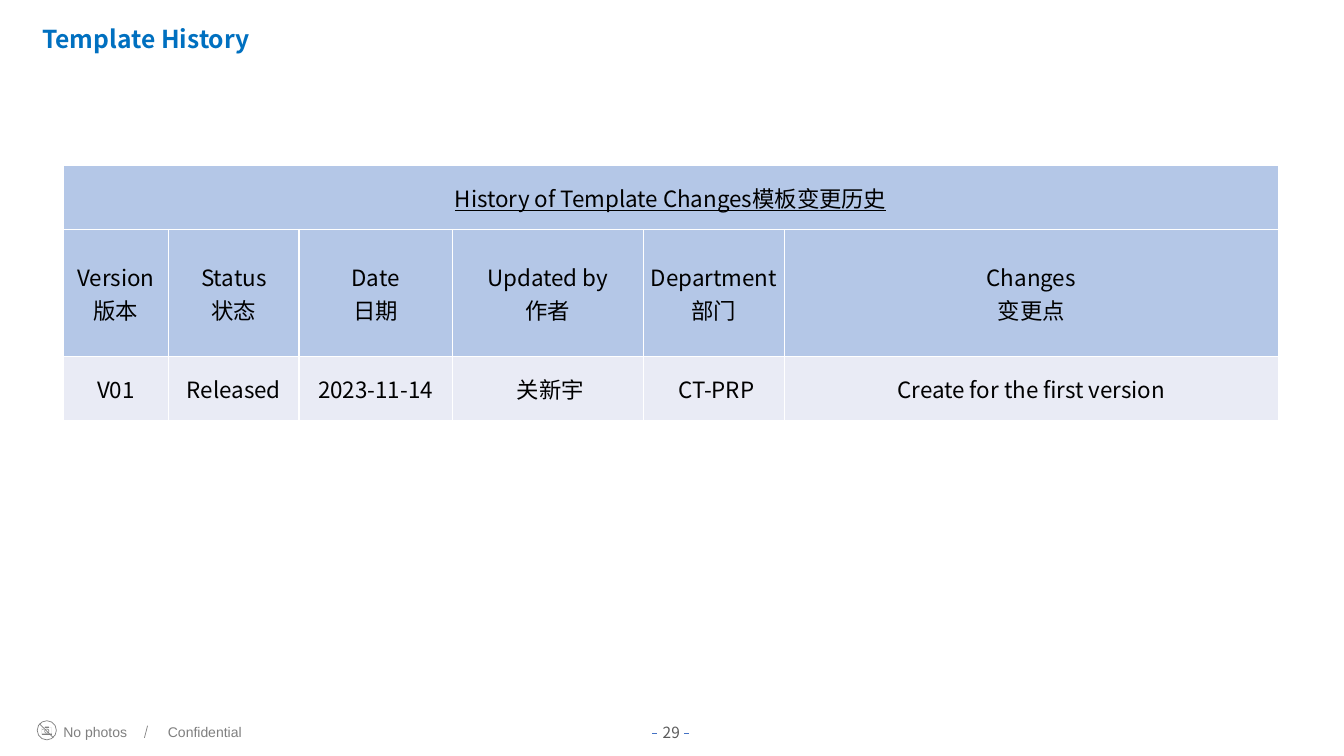
from dataclasses import dataclass

from lxml import etree
from pptx import Presentation
from pptx.dml import color
from pptx.enum import shapes, text
from pptx.oxml import ns
from pptx.util import Pt


@dataclass(frozen=True)
class Theme:
    body_font: str = "Noto Sans CJK SC"
    footer_font: str = "Arial"
    title: str = "0070C0"
    ink: str = "000000"
    header: str = "B4C7E7"
    row: str = "E9EBF5"
    border: str = "FFFFFF"
    footer: str = "7F7F7F"
    icon: str = "808080"
    number: str = "5A5A5A"
    dash: str = "4472C4"
    title_size: float = 17.6
    table_size: float = 16
    number_size: float = 11
    footer_size: float = 10


class SlideBuilder:
    def __init__(self, slide, theme):
        self.slide = slide
        self.theme = theme

    def rgb(self, value):
        return color.RGBColor.from_string(value)

    def run(self, paragraph, words, size, ink, font, bold=False, underline=False):
        run = paragraph.add_run()
        run.text = words
        run.font.size = Pt(size)
        run.font.bold = bold
        run.font.underline = underline
        run.font.name = font
        run.font.color.rgb = self.rgb(ink)
        properties = run.font._element
        etree.SubElement(properties, ns.qn("a:ea"), typeface=font)

    def text(self, box, words, size, ink, font, bold=False, wrap=True,
             align=text.PP_ALIGN.LEFT, spacing=None):
        shape = self.slide.shapes.add_textbox(*map(Pt, box))
        frame = shape.text_frame
        frame.word_wrap = wrap
        frame.vertical_anchor = text.MSO_ANCHOR.MIDDLE
        paragraph = frame.paragraphs[0]
        paragraph.alignment = align
        if spacing:
            paragraph.line_spacing = spacing
        self.run(paragraph, words, size, ink, font, bold)

    def paint(self, shape, fill=None, line=None):
        shape.shadow.inherit = False
        if fill:
            shape.fill.solid()
            shape.fill.fore_color.rgb = self.rgb(fill)
        else:
            shape.fill.background()
        if line:
            shape.line.color.rgb = self.rgb(line)
            shape.line.width = Pt(0.5)
        else:
            shape.line.fill.background()

    def shape(self, kind, box, fill=None, line=None):
        shape = self.slide.shapes.add_shape(kind, *map(Pt, box))
        self.paint(shape, fill, line)
        return shape

    def outline(self, contours, fill):
        first, *others = contours
        builder = self.slide.shapes.build_freeform(*first[0], scale=Pt(1))
        builder.add_line_segments(first[1:])
        for contour in others:
            builder.move_to(*contour[0])
            builder.add_line_segments(contour[1:])
        self.paint(builder.convert_to_shape(), fill)

    def line(self, start, end, ink):
        connector = self.slide.shapes.add_connector(
            shapes.MSO_CONNECTOR.STRAIGHT, *map(Pt, start + end))
        connector.line.color.rgb = self.rgb(ink)
        connector.line.width = Pt(0.5)
        etree.SubElement(connector._element.spPr, ns.qn("a:effectLst"))

    def borders(self, cell):
        properties = cell._tc.get_or_add_tcPr()
        for index, side in enumerate(("lnL", "lnR", "lnT", "lnB")):
            line = etree.Element(ns.qn(f"a:{side}"), w=str(Pt(1)))
            fill = etree.SubElement(line, ns.qn("a:solidFill"))
            etree.SubElement(fill, ns.qn("a:srgbClr"), val=self.theme.border)
            properties.insert(index, line)

    def cell(self, cell, words, fill, underline=False):
        cell.margin_left = cell.margin_right = cell.margin_top = cell.margin_bottom = 0
        cell.vertical_anchor = text.MSO_ANCHOR.MIDDLE
        cell.fill.solid()
        cell.fill.fore_color.rgb = self.rgb(fill)
        self.borders(cell)
        paragraph = cell.text_frame.paragraphs[0]
        paragraph.alignment = text.PP_ALIGN.CENTER
        for index, part in enumerate(words.split("\n") if words else []):
            if index:
                paragraph.add_line_break()
            self.run(paragraph, part, self.theme.table_size, self.theme.ink,
                     self.theme.body_font, underline=underline)

    def table(self, left, top, widths, heights, rows):
        table = self.slide.shapes.add_table(
            len(heights), len(widths), Pt(left), Pt(top),
            Pt(sum(widths)), Pt(sum(heights))).table
        table.first_row = table.horz_banding = False
        for column, width in zip(table.columns, widths):
            column.width = Pt(width)
        for row, height in zip(table.rows, heights):
            row.height = Pt(height)
        table.cell(0, 0).merge(table.cell(0, len(widths) - 1))
        for r, row in enumerate(rows):
            fill = self.theme.header if r < 2 else self.theme.row
            for c, words in enumerate(row):
                self.cell(table.cell(r, c), words, fill, underline=r == 0)


HISTORY = [
    ["History of Template Changes模板变更历史"] + [""] * 5,
    ["Version\n版本", "Status\n状态", "Date\n日期", "Updated by\n作者",
     "Department\n部门", "Changes\n变更点"],
    ["V01", "Released", "2023-11-14", " 关新宇", " CT-PRP",
     "Create for the first version"],
]


def main():
    presentation = Presentation()
    presentation.slide_width, presentation.slide_height = Pt(960), Pt(540)
    slide = presentation.slides.add_slide(presentation.slide_layouts[6])
    theme = Theme()
    builder = SlideBuilder(slide, theme)

    # No-photos icon: ring, camera body, lens, lamp and strike
    builder.shape(shapes.MSO_SHAPE.OVAL, (26.6, 514.8, 13.7, 13.7), line=theme.footer)
    camera = [(29.5, 519.8), (31.6, 519.8), (32.2, 519.1), (34.6, 519.1),
              (35.2, 519.8), (37.4, 519.8), (37.4, 524.9), (29.5, 524.9), (29.5, 519.8)]
    opening = [(30, 520.4), (30, 524.4), (36.9, 524.4), (36.9, 520.4),
               (35, 520.4), (34.4, 519.6), (32.4, 519.6), (31.8, 520.4), (30, 520.4)]
    builder.outline([camera, opening], theme.icon)
    lens = builder.shape(shapes.MSO_SHAPE.DONUT, (31.7, 520.5, 3.5, 3.5), fill=theme.icon)
    lens.adjustments[0] = 0.13
    builder.shape(shapes.MSO_SHAPE.OVAL, (30.3, 520.7, 0.7, 0.7), fill=theme.icon)
    builder.line((28.1, 517), (38.2, 527), theme.footer)

    # Footer labels and divider
    for left, width, label in ((38.2, 63.4, "No photos"), (112.9, 67.7, "Confidential")):
        builder.text((left, 512.9, width, 19.4), label, theme.footer_size,
                     theme.footer, theme.footer_font, wrap=False)
    builder.line((105.4, 518.4), (103.2, 527), theme.icon)

    # Page number between two dashes
    for left in (465.8, 488.9):
        builder.line((left, 524.2), (left + 3.2, 524.2), theme.dash)
    builder.text((455, 512.6, 49, 20.9), "29", theme.number_size, theme.number,
                 theme.body_font, align=text.PP_ALIGN.CENTER)

    # Title
    builder.text((23, 16.6, 340.6, 25.9), "Template History", theme.title_size,
                 theme.title, theme.body_font, bold=True, spacing=0.8)

    # Change history
    builder.table(45, 118.4, (75.6, 93, 109.4, 136.8, 100.5, 352.8),
                  (45.5, 91, 45.5), HISTORY)

    presentation.save("out.pptx")


if __name__ == "__main__":
    main()
